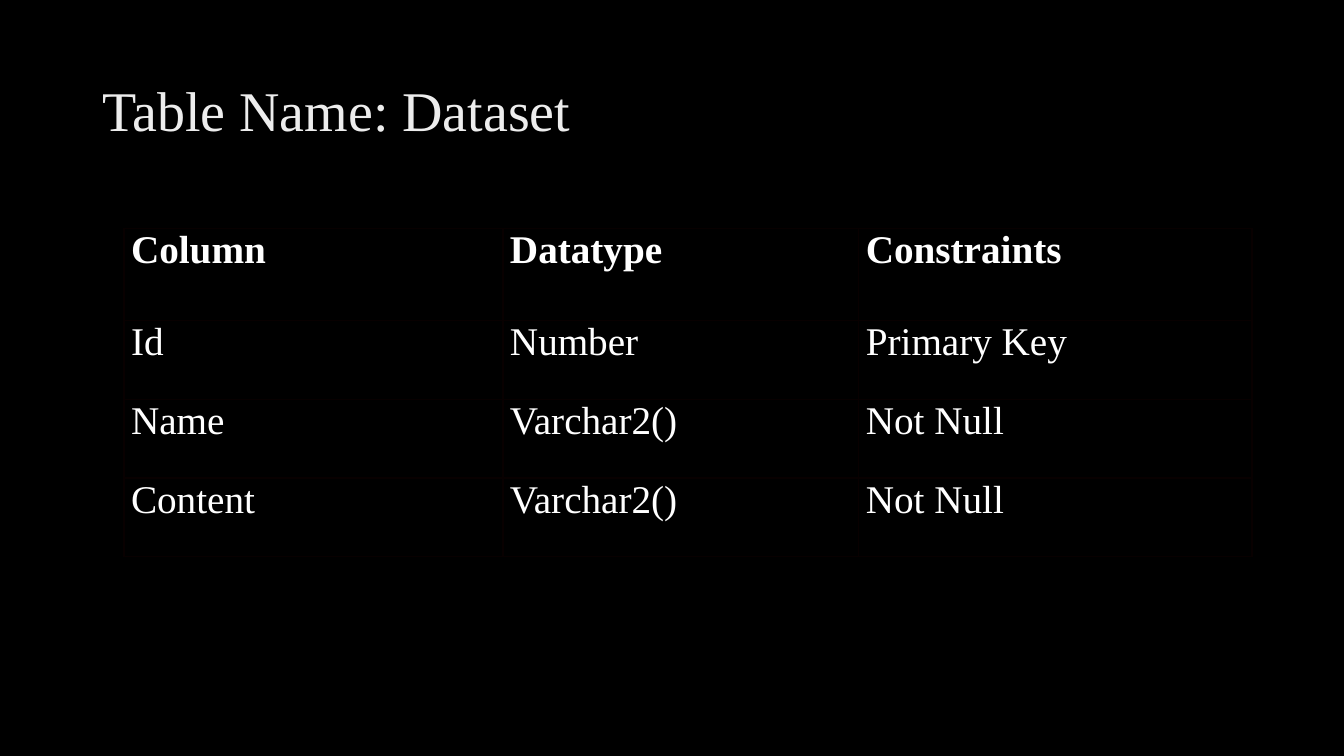
from lxml import etree
from pptx import Presentation
from pptx.dml.color import RGBColor
from pptx.enum.text import MSO_ANCHOR
from pptx.oxml.ns import qn
from pptx.util import Pt

MIDDLE = MSO_ANCHOR.MIDDLE
BLACK = RGBColor(0x00, 0x00, 0x00)
WHITE = RGBColor(0xFF, 0xFF, 0xFF)
SILVER = RGBColor(0xED, 0xED, 0xED)
BORDER = RGBColor(0x08, 0x00, 0x00)
FONT = "Times New Roman"

COLUMN_WIDTHS = [270.7, 254.2, 280.8]
ROW_HEIGHTS = [65.5, 56.3, 56.3, 56.3]
ROWS = [
    ["Column", "Datatype", "Constraints"],
    ["Id", "Number", "Primary Key"],
    ["Name", "Varchar2()", "Not Null"],
    ["Content", "Varchar2()", "Not Null"],
]


def style_text(para, size, color, bold=False):
    for span in para.runs:
        span.font.name = FONT
        span.font.size = Pt(size)
        span.font.bold = bold
        span.font.color.rgb = color


def add_borders(cell):
    properties = cell._tc.get_or_add_tcPr()
    for side in ("a:lnL", "a:lnR", "a:lnT", "a:lnB"):
        line = etree.SubElement(properties, qn(side), w=str(Pt(1)))
        fill = etree.SubElement(line, qn("a:solidFill"))
        etree.SubElement(fill, qn("a:srgbClr"), val=str(BORDER))


# Deck and black page
deck = Presentation()
deck.slide_width, deck.slide_height = Pt(960), Pt(540)
page = deck.slides.add_slide(deck.slide_layouts[6])
page.background.fill.solid()
page.background.fill.fore_color.rgb = BLACK

# Title
title = page.shapes.add_textbox(Pt(66), Pt(28.8), Pt(828), Pt(104.4))
title.text_frame.word_wrap = True
title.text_frame.vertical_anchor = MIDDLE
title.text_frame.text = "Table Name: Dataset"
title_para = title.text_frame.paragraphs[0]
title_para.line_spacing = 0.9
style_text(title_para, 40, SILVER)

# Table of columns
table = page.shapes.add_table(
    len(ROWS), len(COLUMN_WIDTHS), Pt(88.6), Pt(163.4),
    Pt(sum(COLUMN_WIDTHS)), Pt(sum(ROW_HEIGHTS))).table
table.horz_banding = False
for column, width in zip(table.columns, COLUMN_WIDTHS):
    column.width = Pt(width)

for index, (row, height, texts) in enumerate(zip(table.rows, ROW_HEIGHTS, ROWS)):
    row.height = Pt(height)
    for cell, text in zip(row.cells, texts):
        cell.margin_left = cell.margin_right = Pt(5)
        cell.margin_top = cell.margin_bottom = Pt(0)
        add_borders(cell)
        cell.fill.background()
        cell.text_frame.text = text
        style_text(cell.text_frame.paragraphs[0], 28, WHITE, bold=index == 0)

deck.save("out.pptx")
